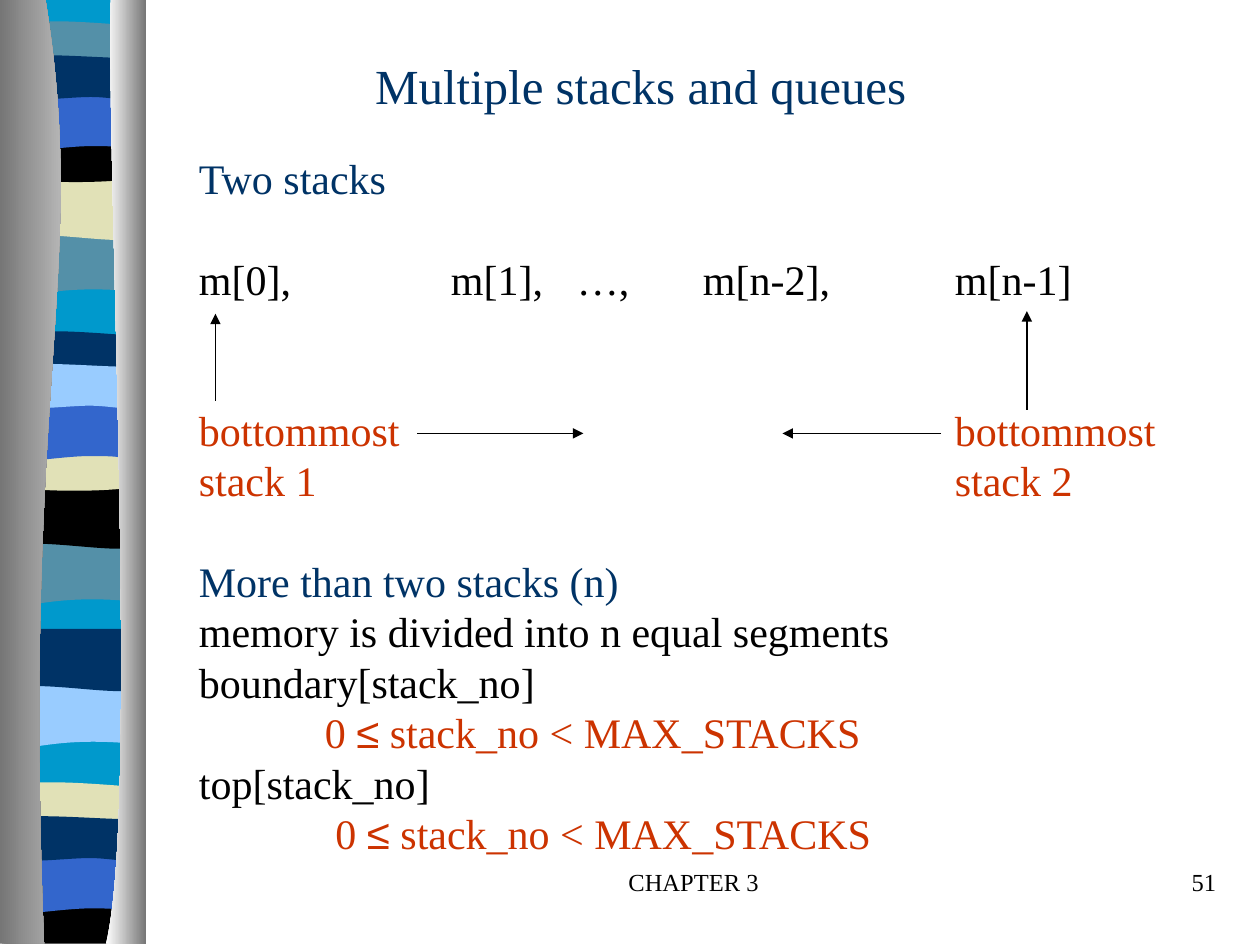
from lxml import etree
from pptx import Presentation
from pptx.dml.color import RGBColor
from pptx.enum.shapes import MSO_CONNECTOR
from pptx.enum.text import PP_ALIGN
from pptx.oxml.ns import qn
from pptx.util import Inches, Pt

LEFT, CENTER, RIGHT = PP_ALIGN.LEFT, PP_ALIGN.CENTER, PP_ALIGN.RIGHT
STRAIGHT = MSO_CONNECTOR.STRAIGHT

SERIF, SANS = "Times New Roman", "Arial"
BLACK, NAVY, RED = "000000", "003366", "CC3300"
SKY, TEAL, SAND, BLUE, PALE = "0099CC", "5490A8", "E1E1B7", "3366CC", "99CCFF"
GREY, SILVER, WHITE = "767676", "D3D3D3", "FFFFFF"

# Outlines in inches: a pair is a straight step, six numbers are a cubic curve.
OUTLINES = {
    "column": [(1.08, 0), (1.08, 7.48), (0, 7.48), (0, 0)],
    "wave": [(1.08, 0), (1.08, 0.47), (0.33, 0.39, 0.18, 0.55, 0, 0.47), (0, 0)],
    "swell": [(1.08, 0), (1.08, 0.47), (0.9, 0.55, 0.33, 0.41, 0, 0.47), (0, 0)],
    "ribbon": [(1.08, 0.05), (1.08, 0.29), (0.9, 0.33, 0.18, 0.33, 0, 0.29), (0, 0.05),
               (0.06, 0, 0.23, 0.01, 0.41, 0.01), (0.59, 0.01, 0.94, 0.04, 1.08, 0.05)],
    "bowl": [(1.08, 0), (1.08, 0.32), (0.9, 0.38, 0.18, 0.38, 0, 0.32), (0, 0),
             (0.66, 0.05, 0.85, 0, 1.08, 0)],
    "arch": [(1.08, 0), (1.08, 0.47), (0.91, 0.42, 0.84, 0.42, 0.66, 0.42),
             (0.48, 0.42, 0.16, 0.47, 0, 0.47), (0, 0)],
    "flag": [(1.08, 0.05), (1.08, 0.36), (1.01, 0.41, 0.84, 0.36, 0.66, 0.36),
             (0.48, 0.36, 0.11, 0.41, 0, 0.36), (0, 0.05),
             (0.15, 0, 0.73, 0.05, 0.91, 0.05), (1.09, 0.05, 1.05, 0.05, 1.08, 0.05)],
    "base": [(1.08, 0), (1.08, 0.37), (0, 0.37), (0, 0), (0.66, 0.05, 0.85, 0, 1.08, 0)],
    "left pillar": [(0.36, 0), (0.71, 2.17, 0.17, 2.97, 0.35, 7.5), (0, 7.5), (0, 0)],
    "right pillar": [(0.88, 0), (0.84, 1.26, 1.11, 6.47, 0.84, 7.5), (1.16, 7.5), (1.16, 0)],
}

# outline, left, top, colours (two make a gradient from left to right)
BANDS = [
    ("column", 0.06, -0.01, [SKY]),
    ("wave", 0.06, 1.85, [TEAL]),
    ("swell", 0.06, 1.41, [SAND]),
    ("ribbon", 0.06, 0.16, [TEAL]),
    ("bowl", 0.06, 1.08, [BLACK]),
    ("arch", 0.06, 0.74, [BLUE]),
    ("flag", 0.06, 0.41, [NAVY]),
    ("wave", 0.05, 4.31, [TEAL]),
    ("swell", 0.05, 3.86, [BLACK]),
    ("ribbon", 0.05, 2.62, [NAVY]),
    ("bowl", 0.05, 3.53, [SAND]),
    ("arch", 0.05, 3.2, [BLUE]),
    ("flag", 0.05, 2.86, [PALE]),
    ("wave", 0.06, 5.44, [PALE]),
    ("swell", 0.06, 4.99, [NAVY]),
    ("ribbon", 0.05, 6.2, [SAND]),
    ("base", 0.05, 7.12, [BLACK]),
    ("arch", 0.05, 6.79, [BLUE]),
    ("flag", 0.05, 6.45, [NAVY]),
    ("left pillar", 0, -0.01, [GREY, SILVER]),
    ("right pillar", 0, -0.01, [WHITE, GREY]),
]

# blank lines above, colour, text pieces with their fonts
LIMIT = [("≤", SANS), (" stack_no < MAX_STACKS", SERIF)]
BODY = [
    (0, NAVY, [("Two stacks", SERIF)]),
    (1, BLACK, [("m[0], \t\tm[1],\t…, \tm[n-2],\tm[n-1]", SERIF)]),
    (2, RED, [("bottommost\t\t\t\t\tbottommost", SERIF)]),
    (0, RED, [("stack 1\t\t\t\t\t\tstack 2", SERIF)]),
    (1, NAVY, [("More than two stacks (n)", SERIF)]),
    (0, BLACK, [("memory is divided into n equal segments", SERIF)]),
    (0, BLACK, [("boundary[stack_no]", SERIF)]),
    (0, RED, [("\t0 ", SERIF)] + LIMIT),
    (0, BLACK, [("top[stack_no]", SERIF)]),
    (0, RED, [("\t 0 ", SERIF)] + LIMIT),
]
TITLE = [(0, NAVY, [("Multiple stacks and queues", SERIF)])]
FOOTER = [(0, BLACK, [("CHAPTER 3", SERIF)])]
NUMBER = [(0, BLACK, [("51", SERIF)])]

# x1, y1, x2, y2 with the head at the second point
ARROWS = [
    (3.31, 3.44, 4.63, 3.44),
    (7.47, 3.44, 6.21, 3.44),
    (1.71, 3.18, 1.71, 2.49),
    (8.15, 3.25, 8.15, 2.47),
]
LINE_HEIGHT = 1.2


def rgb(color):
    return RGBColor.from_string(color)


def bend(sp, outline):
    """Join the three straight steps of each curve into one cubic step."""
    steps = iter(list(sp._element.iter(qn("a:lnTo"))))
    for step in outline[1:]:
        first = next(steps)
        if len(step) == 6:
            first.tag = qn("a:cubicBezTo")
            for _ in range(2):
                extra = next(steps)
                first.append(extra[0])
                extra.getparent().remove(extra)


def add_band(s, name, left, top, colors):
    outline = OUTLINES[name]
    points = [(Inches(left + step[i]), Inches(top + step[i + 1]))
              for step in outline for i in range(0, len(step), 2)]
    builder = s.shapes.build_freeform(*points[0])
    builder.add_line_segments(points[1:], close=True)
    sp = builder.convert_to_shape()
    bend(sp, outline)
    sp.shadow.inherit = False
    sp.line.fill.background()
    if len(colors) == 1:
        sp.fill.solid()
        sp.fill.fore_color.rgb = rgb(colors[0])
    else:
        sp.fill.gradient()
        sp.fill.gradient_angle = 0
        for stop, color in zip(sp.fill.gradient_stops, colors):
            stop.color.rgb = rgb(color)


def add_text(s, lines, box, size, align=LEFT, wrap=True, tabs=0):
    """Add a text box; tabs is the number of tab stops, one an inch."""
    tf = s.shapes.add_textbox(*map(Inches, box)).text_frame
    tf.word_wrap = wrap
    for i, (gap, color, pieces) in enumerate(lines):
        p = tf.paragraphs[0] if i == 0 else tf.add_paragraph()
        if tabs:
            tab_list = etree.SubElement(p._p.get_or_add_pPr(), qn("a:tabLst"))
            for n in range(1, tabs + 1):
                etree.SubElement(tab_list, qn("a:tab"), pos=str(Inches(n)), algn="l")
        p.alignment = align
        p.line_spacing = Pt(size * LINE_HEIGHT)
        if gap:
            p.space_before = Pt(gap * size * LINE_HEIGHT)
        for text, font in pieces:
            r = p.add_run()
            r.text = text
            r.font.name, r.font.size = font, Pt(size)
            r.font.color.rgb = rgb(color)


def add_arrow(s, ends):
    line = s.shapes.add_connector(STRAIGHT, *map(Inches, ends))
    line.line.color.rgb = rgb(BLACK)
    line.line.width = Pt(0.75)
    props = line._element.spPr
    etree.SubElement(props.find(qn("a:ln")), qn("a:tailEnd"), type="triangle")
    etree.SubElement(props, qn("a:effectLst"))


def main():
    prs = Presentation()
    prs.slide_width, prs.slide_height = Inches(10), Inches(7.5)
    s = prs.slides.add_slide(prs.slide_layouts[6])
    for band in BANDS:
        add_band(s, *band)
    add_text(s, FOOTER, (3.92, 6.83, 3.17, 0.5), 14, align=CENTER)
    add_text(s, NUMBER, (7.67, 6.83, 2.08, 0.5), 14, align=RIGHT)
    add_text(s, TITLE, (2.83, 0.39, 4.51, 0.57), 28, align=CENTER)
    add_text(s, BODY, (1.48, 1.16, 7.79, 5.7), 24, wrap=False, tabs=7)
    for ends in ARROWS:
        add_arrow(s, ends)
    prs.save("out.pptx")


if __name__ == "__main__":
    main()
